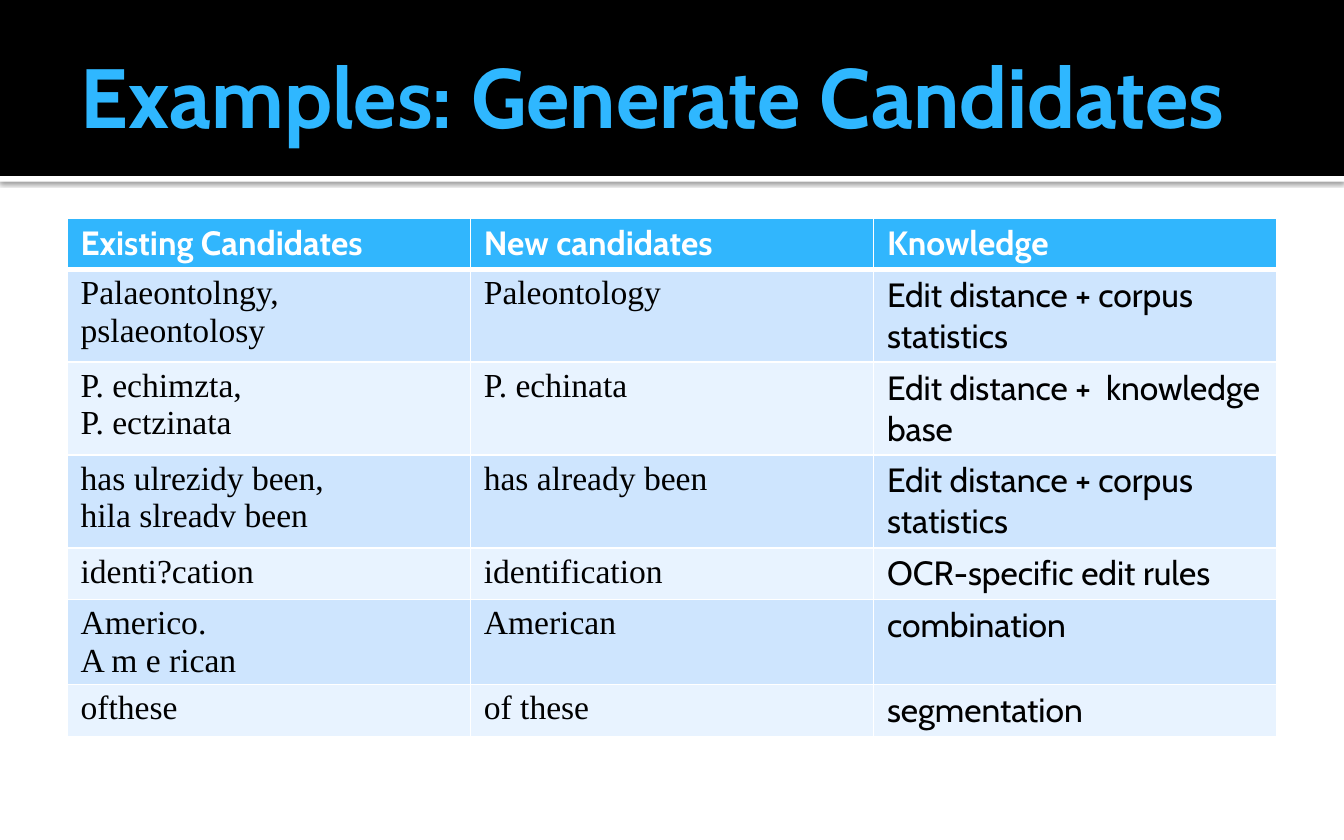
"""Build the slide on generating candidates."""
import pptx
import pptx.dml.color
import pptx.enum.shapes
import pptx.enum.text
import pptx.oxml
import pptx.oxml.ns
import pptx.util

Pt = pptx.util.Pt
RGB = pptx.dml.color.RGBColor
NS = pptx.oxml.ns.nsdecls("a")

BLACK = RGB(0x00, 0x00, 0x00)
WHITE = RGB(0xFF, 0xFF, 0xFF)
BLUE = RGB(0x2F, 0xB7, 0xFF)
HEAD = RGB(0x31, 0xB6, 0xFD)
BANDS = (RGB(0xE8, 0xF3, 0xFF), RGB(0xCE, 0xE5, 0xFE))

SANS = "Cabin"
SERIF = "Times New Roman"
SMALL, LARGE = 24.5, 42
ROWS = (
    (SMALL, "Existing Candidates", "New candidates", "Knowledge"),
    (LARGE, "Palaeontolngy,\npslaeontolosy", "Paleontology",
     "Edit distance + corpus statistics"),
    (LARGE, "P. echimzta, \nP. ectzinata", "P. echinata",
     "Edit distance +  knowledge base"),
    (LARGE, "has ulrezidy been, \nhila slreadv been", "has already been",
     "Edit distance + corpus statistics"),
    (SMALL, "identi?cation", "identification", "OCR-specific edit rules"),
    (LARGE, "Americo. \nA m e rican", "American", "combination"),
    (SMALL, "ofthese", "of these", "segmentation"),
)


def apply(item, form):
    """Set every attribute in form on item."""
    for key, value in form.items():
        setattr(item, key, value)


def write(frame, text, color, form):
    """Put one formatted paragraph into a text frame."""
    para = frame.paragraphs[0]
    para.text = text
    para.alignment = pptx.enum.text.PP_ALIGN.LEFT
    for run in para.runs:
        apply(run.font, form)
        run.font.color.rgb = color


def add_bar(slide, top, height, color):
    """Add a plain bar as wide as the slide."""
    bar = slide.shapes.add_shape(
        pptx.enum.shapes.MSO_SHAPE.RECTANGLE, 0, Pt(top), Pt(720), Pt(height))
    bar.shadow.inherit = False
    bar.fill.solid()
    bar.fill.fore_color.rgb = color
    bar.line.fill.background()
    return bar


def add_shade(shape):
    """Give a shape a soft shadow below it."""
    shade = pptx.oxml.parse_xml(
        f'<a:outerShdw {NS} blurRad="{Pt(2.5)}" dist="{Pt(0.8)}" dir="5400000" '
        'algn="t" rotWithShape="0"><a:srgbClr val="000000">'
        '<a:alpha val="60000"/></a:srgbClr></a:outerShdw>')
    shape._element.spPr.find(pptx.oxml.ns.qn("a:effectLst")).append(shade)


def set_title(slide, text):
    """Place the title in front of the bars."""
    title = slide.shapes.title
    apply(title, {"left": Pt(36), "top": Pt(10), "width": Pt(648), "height": Pt(82)})
    slide.shapes._spTree.append(title._element)
    apply(title.text_frame, {
        "word_wrap": True, "auto_size": pptx.enum.text.MSO_AUTO_SIZE.NONE,
        "vertical_anchor": pptx.enum.text.MSO_ANCHOR.MIDDLE,
        "margin_left": Pt(7.2), "margin_right": Pt(3.6),
        "margin_top": Pt(3.6), "margin_bottom": Pt(3.6)})
    write(title.text_frame, text, BLUE, {"name": SANS, "size": Pt(45), "bold": True})


def set_edges(cell, top, bottom):
    """Draw the white borders of a cell."""
    props = cell._tc.get_or_add_tcPr()
    sides = (("L", 1), ("R", 1), ("T", top), ("B", bottom))
    for spot, (side, width) in enumerate(sides):
        props.insert(spot, pptx.oxml.parse_xml(
            f'<a:ln{side} {NS} w="{Pt(width)}"><a:solidFill>'
            f'<a:srgbClr val="{WHITE}"/></a:solidFill></a:ln{side}>'))


def fill_cell(cell, text, row, col):
    """Fill and format one table cell by its place."""
    head = row == 0
    apply(cell, {"margin_left": Pt(7.2), "margin_right": Pt(7.2),
                 "margin_top": Pt(2.88), "margin_bottom": Pt(2.88)})
    cell.fill.solid()
    cell.fill.fore_color.rgb = HEAD if head else BANDS[row % 2]
    set_edges(cell, 3 if row == 1 else 1, 3 if head else 1)
    write(cell.text_frame, text, WHITE if head else BLACK, {
        "name": SANS if head or col == 2 else SERIF, "size": Pt(18), "bold": head})


def add_grid(slide):
    """Add the table of candidates."""
    total = sum(row[0] for row in ROWS)
    grid = slide.shapes.add_table(
        len(ROWS), 3, Pt(36), Pt(116.64), Pt(648), Pt(total)).table
    apply(grid, {"first_row": False, "horz_banding": False})
    for row, (height, *texts) in enumerate(ROWS):
        grid.rows[row].height = Pt(height)
        for col, text in enumerate(texts):
            fill_cell(grid.cell(row, col), text, row, col)


def main():
    """Build and save the slide."""
    deck = pptx.Presentation()
    apply(deck, {"slide_width": Pt(720), "slide_height": Pt(450)})
    slide = deck.slides.add_slide(deck.slide_layouts[5])
    add_shade(add_bar(slide, 94.3, 3, WHITE))
    add_bar(slide, 0, 94.3, BLACK)
    set_title(slide, "Examples: Generate Candidates")
    add_grid(slide)
    deck.save("out.pptx")


if __name__ == "__main__":
    main()
